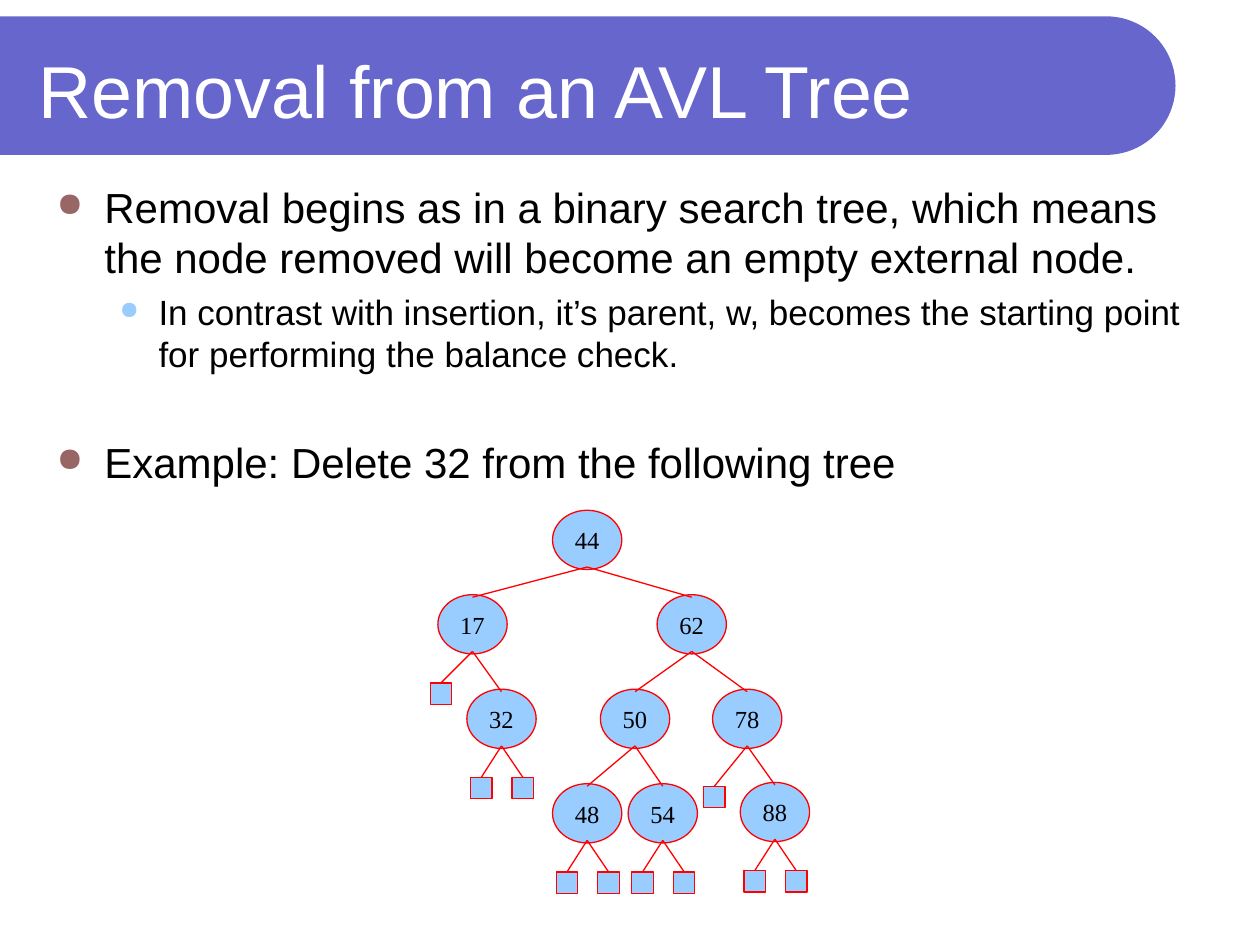
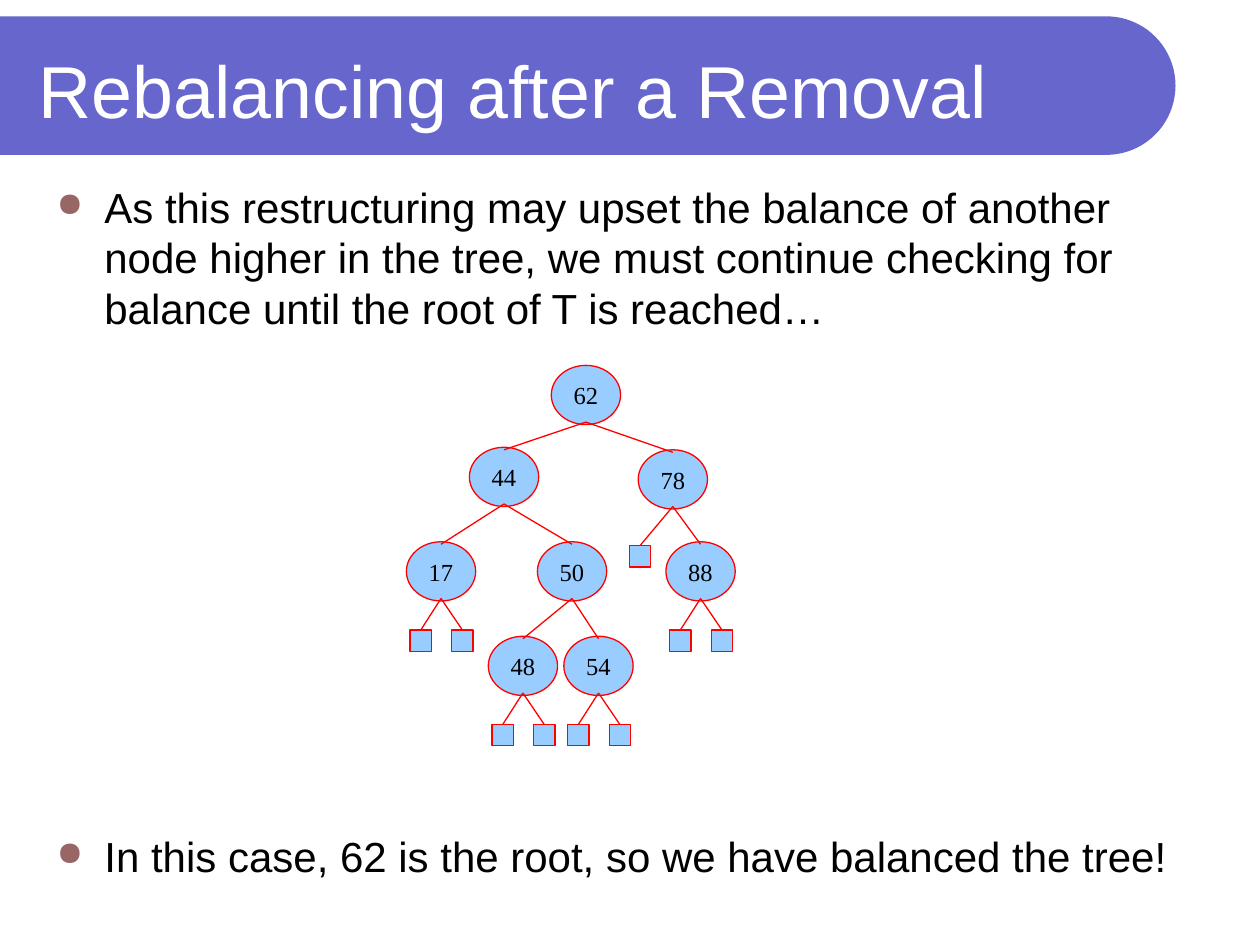
from dataclasses import dataclass
from math import cos, pi, sin

from lxml.etree import SubElement
from pptx import Presentation
from pptx.dml.color import RGBColor
from pptx.enum.shapes import MSO_CONNECTOR, MSO_SHAPE
from pptx.enum.text import MSO_ANCHOR, PP_ALIGN
from pptx.oxml.ns import qn
from pptx.util import Inches, Pt

WHITE = RGBColor(0xFF, 0xFF, 0xFF)
BLACK = RGBColor(0x00, 0x00, 0x00)
BAND = RGBColor(0x66, 0x66, 0xCC)
NODE_FILL = RGBColor(0x99, 0xCC, 0xFF)
NODE_LINE = RGBColor(0xFF, 0x00, 0x00)
BULLET_MAIN = RGBColor(0x99, 0x66, 0x66)

TEXT_FONT, NODE_FONT = "Arial", "Times New Roman"
NODE_WIDTH, NODE_HEIGHT, LEAF_SIZE = 0.55, 0.47, 0.17
EDGE_OVERLAP = 0.02
PAIR = ((-0.16, 0.7), (0.17, 0.7))


@dataclass
class Level:
    size: int
    indent: float
    hanging: float
    space: int
    bullet: RGBColor
    bullet_percent: int


LEVELS = (
    Level(24, 0.38, 0.38, 6, BULLET_MAIN, 80),
    Level(20, 0.81, 0.31, 5, NODE_FILL, 70),
)


@dataclass
class Node:
    key: int
    center: float
    top: float
    children: tuple = ()
    leaves: tuple = ()


class Deck:
    """Hold the shared style and the current slide, and draw each kind of element."""

    def __init__(self):
        self.presentation = Presentation()
        self.presentation.slide_width = Inches(10)
        self.presentation.slide_height = Inches(7.5)
        self.slide = None

    def add_slide(self, title):
        self.slide = self.presentation.slides.add_slide(self.presentation.slide_layouts[6])
        self.band()
        frame = self.text_frame(0.21, 0.21, 8.77, 1)
        frame.vertical_anchor = MSO_ANCHOR.MIDDLE
        self.set_text(frame.paragraphs[0], title, TEXT_FONT, 42, WHITE)

    def band(self, top=0.13, right=9.33, radius=0.55, steps=40):
        angles = [pi * (step / steps - 0.5) for step in range(steps + 1)]
        arc = [
            (right - radius + radius * cos(angle), top + radius + radius * sin(angle))
            for angle in angles
        ]
        outline = self.slide.shapes.build_freeform(0, Inches(top))
        corners = arc + [(0, top + 2 * radius)]
        outline.add_line_segments([(Inches(x), Inches(y)) for x, y in corners])
        band = outline.convert_to_shape()
        band.shadow.inherit = False
        band.fill.solid()
        band.fill.fore_color.rgb = BAND
        band.line.fill.background()

    def text_frame(self, left, top, width, height):
        box = self.slide.shapes.add_textbox(
            Inches(left), Inches(top), Inches(width), Inches(height)
        )
        box.text_frame.word_wrap = True
        return box.text_frame

    def set_text(self, paragraph, text, font, size, color):
        paragraph.text = text
        paragraph.font.name = font
        paragraph.font.size = Pt(size)
        paragraph.font.color.rgb = color

    def body(self, *items):
        """Set (text, level, extra space before) items as bulleted paragraphs."""
        frame = self.text_frame(0.35, 1.39, 9.29, 5.75)
        for index, (text, depth, extra) in enumerate(items):
            paragraph = frame.add_paragraph() if index else frame.paragraphs[0]
            level = LEVELS[depth]
            self.set_text(paragraph, text, TEXT_FONT, level.size, BLACK)
            paragraph.level = depth
            paragraph.line_spacing = Pt(level.size * 1.2)
            paragraph.space_before = Pt(level.space + extra)
            self.bullet(paragraph, level)

    def bullet(self, paragraph, level):
        properties = paragraph._p.get_or_add_pPr()
        properties.set("marL", str(Inches(level.indent)))
        properties.set("indent", str(-Inches(level.hanging)))
        color = SubElement(properties, qn("a:buClr"))
        SubElement(color, qn("a:srgbClr"), val=str(level.bullet))
        SubElement(properties, qn("a:buSzPct"), val=str(level.bullet_percent * 1000))
        SubElement(properties, qn("a:buChar"), char="●")
        # defRPr must follow the bullet settings
        for defaults in properties.findall(qn("a:defRPr")):
            properties.append(defaults)

    def tree_shape(self, preset, center, top, width, height):
        shape = self.slide.shapes.add_shape(
            preset, Inches(center - width / 2), Inches(top), Inches(width), Inches(height)
        )
        shape.shadow.inherit = False
        shape.fill.solid()
        shape.fill.fore_color.rgb = NODE_FILL
        shape.line.color.rgb = NODE_LINE
        shape.line.width = Pt(0.75)
        return shape

    def edge(self, node, x, y):
        start = node.top + NODE_HEIGHT - EDGE_OVERLAP
        edge = self.slide.shapes.add_connector(
            MSO_CONNECTOR.STRAIGHT, Inches(node.center), Inches(start), Inches(x), Inches(y)
        )
        edge.line.color.rgb = NODE_LINE
        edge.line.width = Pt(0.75)
        SubElement(edge._element.spPr, qn("a:effectLst"))

    def tree(self, node):
        """Draw a node, then its subtrees and external leaves with their edges."""
        oval = self.tree_shape(MSO_SHAPE.OVAL, node.center, node.top, NODE_WIDTH, NODE_HEIGHT)
        frame = oval.text_frame
        frame.word_wrap = False
        frame.vertical_anchor = MSO_ANCHOR.MIDDLE
        label = frame.paragraphs[0]
        self.set_text(label, str(node.key), NODE_FONT, 14, BLACK)
        label.alignment = PP_ALIGN.CENTER
        for child in node.children:
            self.tree(child)
            self.edge(node, child.center, child.top + EDGE_OVERLAP)
        for offset, drop in node.leaves:
            x, y = node.center + offset, node.top + drop
            self.tree_shape(MSO_SHAPE.RECTANGLE, x, y, LEAF_SIZE, LEAF_SIZE)
            self.edge(node, x, y)


def main():
    deck = Deck()

    deck.add_slide("Removal from an AVL Tree")
    deck.body(
        ("Removal begins as in a binary search tree, which means the node removed "
         "will become an empty external node.", 0, 0),
        ("In contrast with insertion, it’s parent, w, becomes the starting point "
         "for performing the balance check.", 1, 0),
        ("Example: Delete 32 from the following tree", 0, 29),
    )
    left = Node(17, 3.75, 4.72, (Node(32, 3.98, 5.47, leaves=PAIR),), ((-0.25, 0.7),))
    middle = Node(50, 5.04, 5.47, (
        Node(48, 4.66, 6.22, leaves=PAIR),
        Node(54, 5.26, 6.22, leaves=PAIR),
    ))
    right = Node(78, 5.93, 5.47, (Node(88, 6.15, 6.21, leaves=PAIR),), ((-0.26, 0.77),))
    deck.tree(Node(44, 4.66, 4.05, (left, Node(62, 5.49, 4.72, (middle, right)))))

    deck.add_slide("Rebalancing after a Removal")
    deck.body(
        ("As this restructuring may upset the balance of another node higher in the "
         "tree, we must continue checking for balance until the root of T is reached…", 0, 0),
        ("In this case, 62 is the root, so we have balanced the tree!", 0, 278.4),
    )
    middle = Node(50, 4.54, 4.3, (
        Node(48, 4.15, 5.05, leaves=PAIR),
        Node(54, 4.75, 5.05, leaves=PAIR),
    ))
    left = Node(44, 4, 3.55, (Node(17, 3.5, 4.3, leaves=PAIR), middle))
    right = Node(78, 5.34, 3.57, (Node(88, 5.56, 4.3, leaves=PAIR),), ((-0.26, 0.76),))
    deck.tree(Node(62, 4.65, 2.9, (left, right)))

    deck.presentation.save("out.pptx")


if __name__ == "__main__":
    main()
